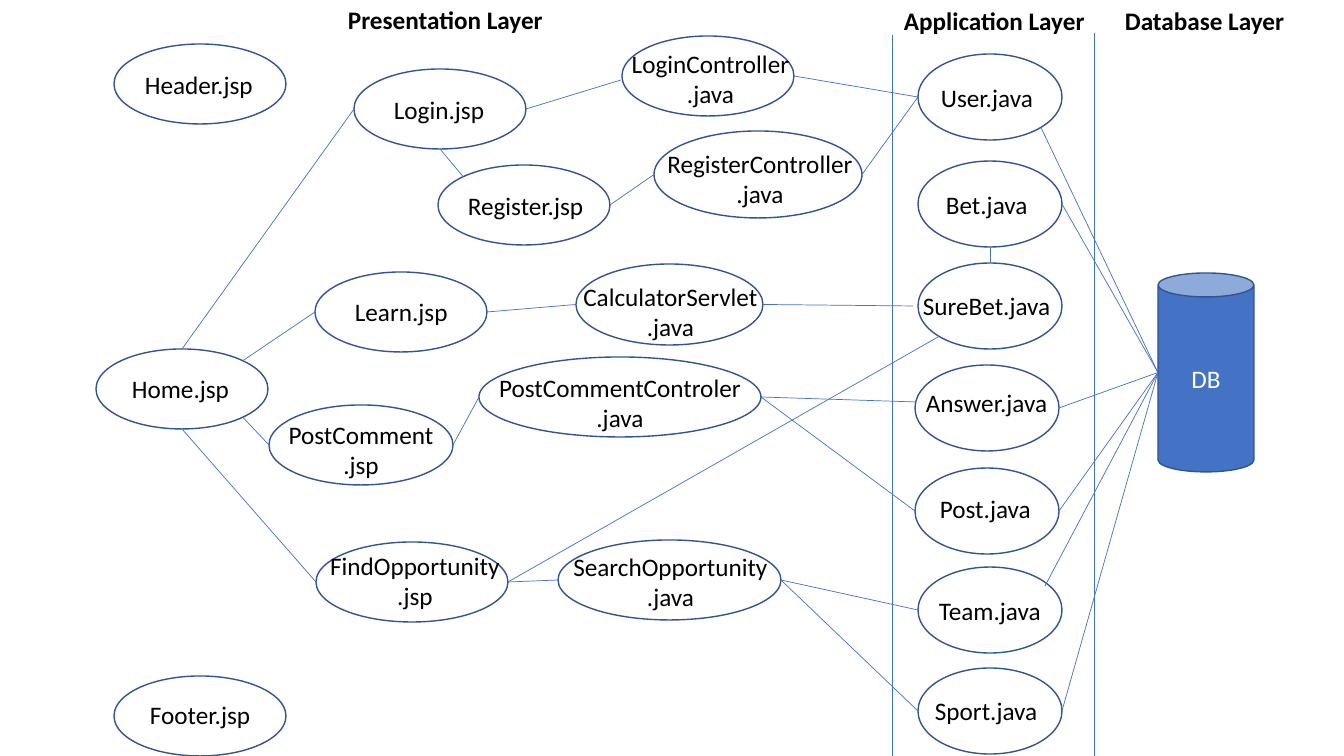
from math import cos, radians, sin

from lxml.etree import SubElement
from pptx import Presentation
from pptx.dml.color import RGBColor
from pptx.enum.shapes import MSO_CONNECTOR, MSO_SHAPE
from pptx.enum.text import MSO_ANCHOR, MSO_AUTO_SIZE, PP_ALIGN
from pptx.oxml.ns import qn
from pptx.util import Pt

EMU_PER_PIXEL = 914400 / 100.8
BLUE = RGBColor(0x44, 0x72, 0xC4)
DARK_BLUE = RGBColor(0x32, 0x54, 0x91)
BLACK = RGBColor(0, 0, 0)
WHITE = RGBColor(0xFF, 0xFF, 0xFF)
SITE_ANGLES = {
    "right": 0, "bottom right": 45, "bottom": 90, "bottom left": 135,
    "left": 180, "top left": 225, "top": 270, "top right": 315,
}


def emu(*pixels):
    return [round(pixel * EMU_PER_PIXEL) for pixel in pixels]


class Diagram:
    font_name = "Calibri"
    font_size = Pt(18)

    def __init__(self, slide):
        self.slide = slide
        self.boxes = {}

    def format_text(self, text_frame, color, alignment, bold=False):
        for paragraph in text_frame.paragraphs:
            paragraph.alignment = alignment
            for run in paragraph.runs:
                run.font.name = self.font_name
                run.font.size = self.font_size
                run.font.bold = bold
                run.font.color.rgb = color

    def outline(self, name, preset, box):
        shape = self.slide.shapes.add_shape(preset, *emu(*box))
        shape.shadow.inherit = False
        shape.fill.background()
        shape.line.color.rgb = DARK_BLUE
        shape.line.width = Pt(1)
        self.boxes[name] = box
        return shape

    def label(self, text, left, top, width, bold=False):
        lines = text.count("\n") + 1
        box = emu(left, top, width, 40 if lines == 1 else 72)
        text_frame = self.slide.shapes.add_textbox(*box).text_frame
        text_frame.word_wrap = False
        text_frame.auto_size = MSO_AUTO_SIZE.SHAPE_TO_FIT_TEXT
        text_frame.text = text
        alignment = PP_ALIGN.LEFT if lines == 1 else PP_ALIGN.CENTER
        self.format_text(text_frame, BLACK, alignment, bold)

    def component(self, text, box, label_box):
        self.outline(text.split("\n")[0], MSO_SHAPE.OVAL, box)
        self.label(text, *label_box)

    def database(self, text, box):
        shape = self.outline(text, MSO_SHAPE.CAN, box)
        shape.fill.solid()
        shape.fill.fore_color.rgb = BLUE
        shape.text_frame.text = text
        shape.text_frame.vertical_anchor = MSO_ANCHOR.MIDDLE
        self.format_text(shape.text_frame, WHITE, PP_ALIGN.CENTER)

    def site(self, name, side):
        left, top, width, height = self.boxes[name]
        angle = radians(SITE_ANGLES[side])
        return left + width / 2 * (1 + cos(angle)), top + height / 2 * (1 + sin(angle))

    def line(self, start, end):
        connector = self.slide.shapes.add_connector(
            MSO_CONNECTOR.STRAIGHT, *emu(*start, *end))
        connector.line.color.rgb = BLUE
        connector.line.width = Pt(0.5)
        SubElement(connector._element.spPr, qn("a:effectLst"))

    def link(self, start, end):
        points = [self.site(*place) if isinstance(place[0], str) else place
                  for place in (start, end)]
        self.line(*points)


presentation = Presentation()
presentation.slide_width, presentation.slide_height = emu(1344, 756)
diagram = Diagram(presentation.slides.add_slide(presentation.slide_layouts[6]))

for divider_x, divider_top in ((892, 35), (1094, 33)):
    diagram.line((divider_x, divider_top), (divider_x, divider_top + 734))

diagram.database("DB", (1158, 273, 96, 199))

MODELS = [
    ("User.java", 918, 54, (931, 77, 113)),
    ("Bet.java", 918, 161, (936, 184, 103)),
    ("SureBet.java", 918, 263, (913, 285, 149)),
    ("Answer.java", 915, 365, (916, 382, 143)),
    ("Post.java", 915, 468, (930, 488, 112)),
    ("Team.java", 918, 567, (929, 590, 123)),
    ("Sport.java", 918, 668, (925, 690, 124)),
]
for text, left, top, label_box in MODELS:
    diagram.component(text, (left, top, 144, 86), label_box)

PAGES = [
    ("Header.jsp", (114, 44, 172), (135, 64, 129)),
    ("Footer.jsp", (114, 676, 172), (140, 694, 121)),
    ("Home.jsp", (96, 349, 172), (122, 368, 118)),
    ("Login.jsp", (354, 69, 172), (384, 89, 112)),
    ("Register.jsp", (438, 165, 172), (458, 185, 137)),
    ("Learn.jsp", (315, 272, 172), (345, 291, 114)),
    ("PostComment\n.jsp", (269, 405, 184), (278, 414, 166)),
    ("FindOpportunity\n.jsp", (316, 542, 192), (319, 545, 192)),
    ("LoginController\n.java", (622, 36, 172), (621, 43, 179)),
    ("PostCommentControler\n.java", (479, 357, 282), (488, 367, 264)),
    ("SearchOpportunity\n.java", (558, 540, 223), (562, 546, 217)),
]
for text, box, label_box in PAGES:
    diagram.component(text, (*box, 80), label_box)
diagram.component("RegisterController\n.java", (654, 131, 208, 87), (656, 143, 208))
diagram.component("CalculatorServlet\n.java", (576, 264, 187, 81), (572, 276, 197))

DATABASE_SOURCES = [
    ("User.java", "bottom right"),
    ("Bet.java", "right"),
    ("Answer.java", "right"),
    ("Post.java", "right"),
    (1045, 586),
    ("Sport.java", "right"),
]
for source in DATABASE_SOURCES:
    diagram.link(source, ("DB", "left"))

LINKS = [
    (("Bet.java", "bottom"), ("SureBet.java", "top")),
    (("LoginController", "right"), ("User.java", "left")),
    (("RegisterController", "right"), ("User.java", "left")),
    (("Login.jsp", "right"), (621, 80)),
    (("Register.jsp", "right"), ("RegisterController", "left")),
    (("Login.jsp", "bottom"), ("Register.jsp", "top left")),
    (("Home.jsp", "top"), ("Login.jsp", "left")),
    (("CalculatorServlet", "right"), (913, 306)),
    (("Learn.jsp", "right"), ("CalculatorServlet", "left")),
    (("Home.jsp", "top right"), ("Learn.jsp", "left")),
    (("PostCommentControler", "right"), (916, 402)),
    (("PostComment", "right"), ("PostCommentControler", "left")),
    (("Home.jsp", "bottom right"), ("PostComment", "left")),
    (("PostCommentControler", "right"), ("Post.java", "left")),
    (("FindOpportunity", "right"), ("SureBet.java", "bottom left")),
    (("Home.jsp", "bottom"), ("FindOpportunity", "left")),
    (("FindOpportunity", "right"), ("SearchOpportunity", "left")),
    (("SearchOpportunity", "right"), ("Team.java", "left")),
    (("SearchOpportunity", "right"), ("Sport.java", "left")),
]
for start, end in LINKS:
    diagram.link(start, end)

LAYERS = [
    ("Presentation Layer", 338, -1, 217),
    ("Application Layer", 894, 0, 203),
    ("Database Layer", 1115, 0, 181),
]
for text, left, top, width in LAYERS:
    diagram.label(text, left, top, width, bold=True)

presentation.save("out.pptx")
